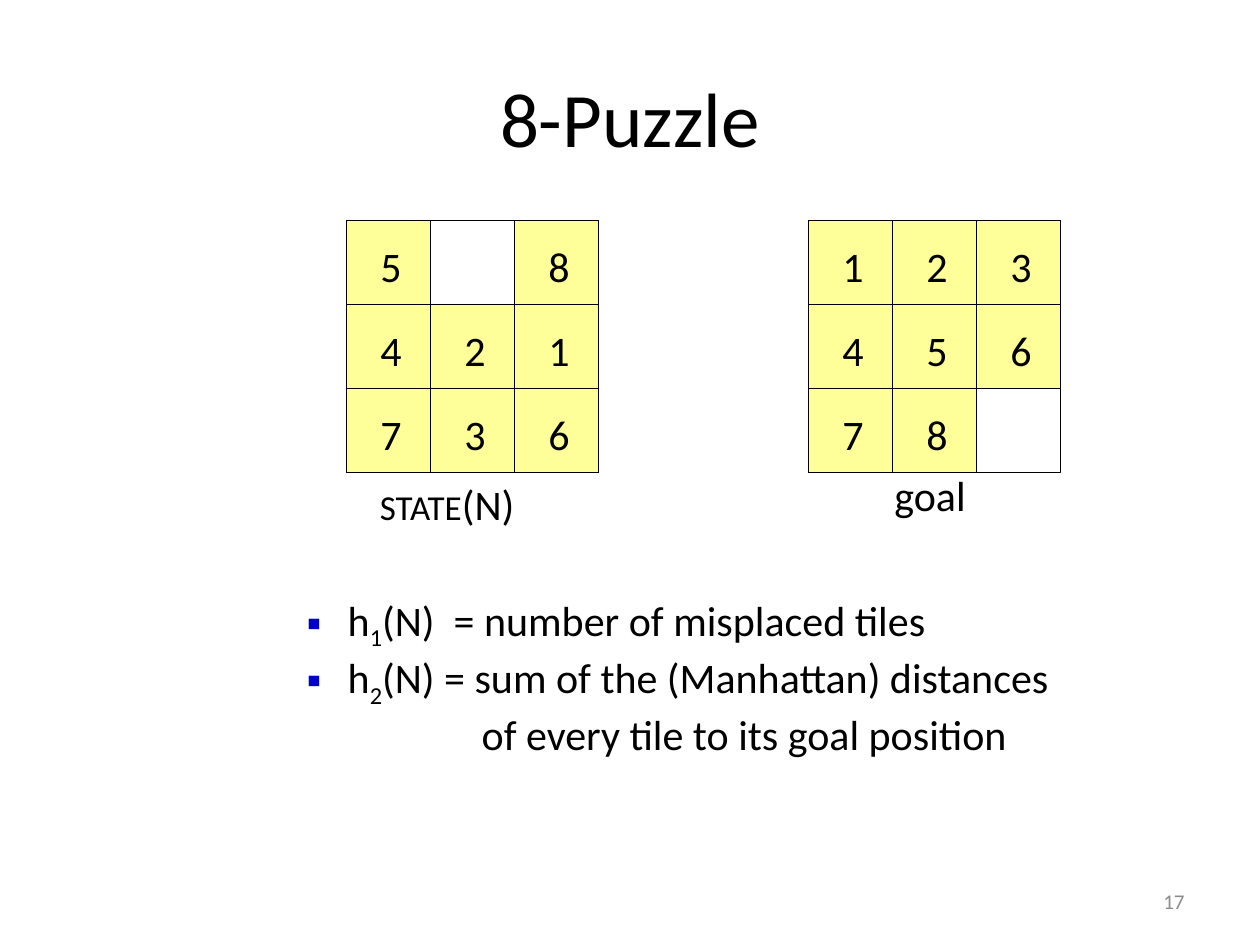
"""Build the 8-Puzzle slide comparing a state with its goal and two heuristics."""
import pptx
import pptx.dml.color
import pptx.enum.shapes
import pptx.enum.text
import pptx.oxml.ns
import pptx.util
from lxml import etree

Pt = pptx.util.Pt
RGBColor = pptx.dml.color.RGBColor
ALIGN = pptx.enum.text.PP_ALIGN
ANCHOR = pptx.enum.text.MSO_ANCHOR

BLACK = RGBColor(0x00, 0x00, 0x00)
GRAY = RGBColor(0x8C, 0x8C, 0x8C)
YELLOW = RGBColor(0xFF, 0xFF, 0x99)
BLUE = RGBColor(0x00, 0x00, 0xCC)

TITLE = "8-Puzzle"
PAGE = "17"
BOARDS = [
    (198, ["5 8", "421", "736"]),
    (462, ["123", "456", "78 "]),
]
LABELS = [
    (210, 270, 95, 36, [("STATE", 20), ("(N)", 24)]),
    (504, 265, 56, 36, [("goal", 24)]),
]
HEURISTICS = [
    (True, [("h", 0), ("1", -25), ("(N)  = number of misplaced tiles", 0)]),
    (True, [("h", 0), ("2", -25), ("(N) = sum of the (Manhattan) distances", 0)]),
    (False, [("of every tile to its goal position", 0)]),
]
BOARD_TOP, TILE = 126, 48
TEXT_INDENT, BULLET_INDENT, CONTINUATION_INDENT = 41.5, 18, 118


def add_run(p, text, size=24, color=BLACK, baseline=0):
    r = p.add_run()
    r.text = text
    r.font.name = "Calibri"
    r.font.size = Pt(size)
    r.font.color.rgb = color
    if baseline:
        r.font._element.set("baseline", str(baseline * 1000))


def place(sp, left, top, width, height):
    sp.left, sp.top, sp.width, sp.height = map(Pt, (left, top, width, height))


def add_square(s, left, top, size, fill=None):
    sp = s.shapes.add_shape(pptx.enum.shapes.MSO_SHAPE.RECTANGLE,
                            Pt(left), Pt(top), Pt(size), Pt(size))
    sp.shadow.inherit = False
    sp.line.color.rgb = BLACK
    sp.line.width = Pt(0.75)
    if fill is None:
        sp.fill.background()
    else:
        sp.fill.solid()
        sp.fill.fore_color.rgb = fill
    return sp


def add_board(s, left, rows):
    add_square(s, left, BOARD_TOP, TILE * len(rows))
    for i, row in enumerate(rows):
        for j, digit in enumerate(row):
            if digit == " ":
                continue
            sp = add_square(s, left + j * TILE, BOARD_TOP + i * TILE, TILE, YELLOW)
            tf = sp.text_frame
            tf.margin_left, tf.margin_top = Pt(3), Pt(4)
            tf.margin_right = tf.margin_bottom = 0
            tf.vertical_anchor = ANCHOR.MIDDLE
            p = tf.paragraphs[0]
            p.alignment = ALIGN.CENTER
            add_run(p, digit)


def set_bullet(p, bulleted):
    qn = pptx.oxml.ns.qn
    pPr = p._p.get_or_add_pPr()
    left = TEXT_INDENT if bulleted else CONTINUATION_INDENT
    indent = BULLET_INDENT - TEXT_INDENT if bulleted else 0
    pPr.set("marL", str(Pt(left)))
    pPr.set("indent", str(Pt(indent)))
    if bulleted:
        color = etree.SubElement(pPr, qn("a:buClr"))
        etree.SubElement(color, qn("a:srgbClr")).set("val", str(BLUE))
        etree.SubElement(pPr, qn("a:buChar")).set("char", "▪")
    else:
        etree.SubElement(pPr, qn("a:buNone"))


def main():
    prs = pptx.Presentation()
    prs.slide_width, prs.slide_height = Pt(720), Pt(540)
    s = prs.slides.add_slide(prs.slide_layouts[1])
    title, body = s.placeholders

    place(title, 36, 21.6, 648, 90)
    title.text_frame.vertical_anchor = ANCHOR.MIDDLE
    p = title.text_frame.paragraphs[0]
    p.alignment = ALIGN.CENTER
    add_run(p, TITLE, size=44)

    for left, rows in BOARDS:
        add_board(s, left, rows)

    for left, top, width, height, runs in LABELS:
        sp = s.shapes.add_textbox(Pt(left), Pt(top), Pt(width), Pt(height))
        sp.text_frame.word_wrap = False
        for text, size in runs:
            add_run(sp.text_frame.paragraphs[0], text, size=size)

    place(body, 150, 336, 570, 94.5)
    tf = body.text_frame
    tf.auto_size = pptx.enum.text.MSO_AUTO_SIZE.NONE
    tf.vertical_anchor = ANCHOR.TOP
    for i, (bulleted, runs) in enumerate(HEURISTICS):
        p = tf.add_paragraph() if i else tf.paragraphs[0]
        p.space_before = Pt(0)
        set_bullet(p, bulleted)
        for text, baseline in runs:
            add_run(p, text, baseline=baseline)

    sp = s.shapes.add_textbox(Pt(516), Pt(500.5), Pt(168), Pt(28.75))
    sp.text_frame.word_wrap = True
    sp.text_frame.vertical_anchor = ANCHOR.MIDDLE
    p = sp.text_frame.paragraphs[0]
    p.alignment = ALIGN.RIGHT
    add_run(p, PAGE, size=12, color=GRAY)

    prs.save("out.pptx")


if __name__ == "__main__":
    main()
